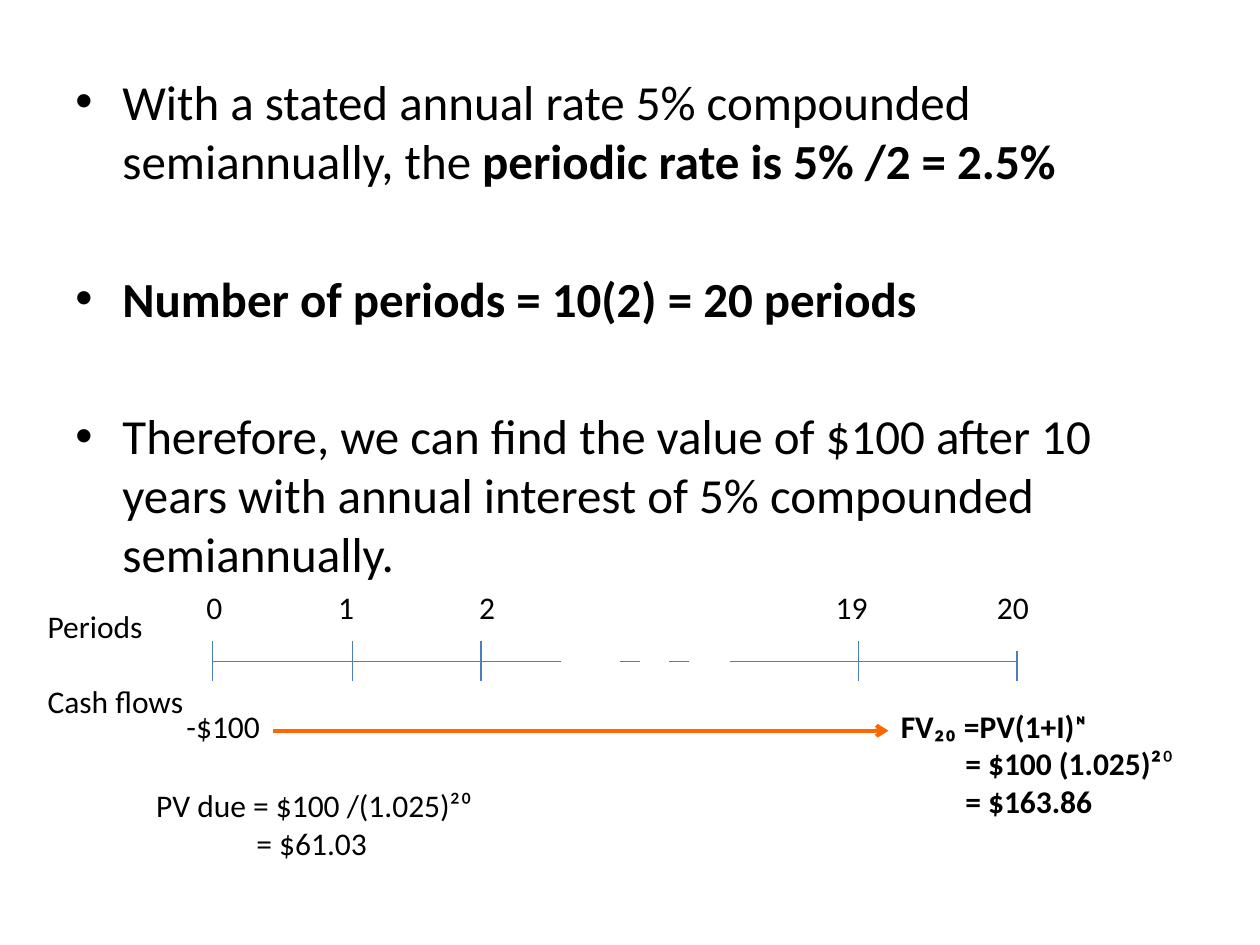
from lxml import etree
from pptx import Presentation
from pptx import util as u
from pptx.dml.color import RGBColor
from pptx.enum import shapes
from pptx.oxml.ns import qn

THEME = {
    "font": "Calibri",
    "text": RGBColor(0x00, 0x00, 0x00),
    "axis": RGBColor(0x4B, 0x7E, 0xBC),
    "arrow": RGBColor(0xFF, 0x66, 0x00),
    "body": u.Pt(28),
    "label": u.Pt(18),
    "axis_line": u.Pt(0.75),
    "arrow_line": u.Pt(2.25),
}

# Content: a paragraph is a list of (wording, bold) runs; lengths in cm
points = [
    [("With a stated annual rate 5% compounded semiannually, the ", False),
     ("periodic rate is 5% /2 = 2.5%", True)],
    [("Number of periods = 10(2) = 20 periods", True)],
    [("Therefore, we can find the value of $100 after 10 years with annual "
      "interest of 5% compounded semiannually.", False)],
]
row_names = [[("Periods", False)], [("Cash flows", False)]]
payment = [[("-$100", False)]]
future_value = [
    [("FV₂₀ =PV(1+I)ᶰ", True)],
    [("= $100 (1.025)²", True), ("⁰", False)],
    [("= $163.86", True)],
]
present_value = [[("PV due = $100 /(1.025)²⁰", False)], [("= $61.03", False)]]

# (period, tick x, label centre x, tick top)
periods = [
    ("0", 4.29, 4.29, 12.93),
    ("1", 7.11, 6.98, 12.93),
    ("2", 9.7, 9.82, 12.93),
    ("19", 17.3, 17.17, 12.93),
    ("20", 20.5, 20.42, 13.13),
]
axis_y, tick_bottom = 13.34, 13.72
axis_parts = [(4.29, 11.3), (12.5, 12.9), (13.49, 13.89), (14.71, 20.5)]
arrow_start, arrow_end, arrow_y = 5.51, 17.91, 14.73
INSET = 0.25

prs = Presentation()
prs.slide_width, prs.slide_height = u.Cm(25.4), u.Cm(19.05)
slide = prs.slides.add_slide(prs.slide_layouts[6])


def add_text(box, paragraphs, size=THEME["label"], gap=0, hang=0, bullet=False, tabs=()):
    """Write paragraphs; hang indents bullets, or every line after the first."""
    frame = slide.shapes.add_textbox(*map(u.Cm, box)).text_frame
    frame.word_wrap = True
    for i, runs in enumerate(paragraphs):
        paragraph = frame.paragraphs[0] if i == 0 else frame.add_paragraph()
        props = paragraph._p.get_or_add_pPr()
        if i:
            paragraph.space_before = u.Pt(gap)
        if hang and (bullet or i):
            props.set("marL", str(u.Cm(hang)))
        if bullet:
            props.set("indent", str(-u.Cm(hang)))
            etree.SubElement(props, qn("a:buFont"), typeface="Arial")
            etree.SubElement(props, qn("a:buChar"), char="•")
        if tabs:
            stops = etree.SubElement(props, qn("a:tabLst"))
            for stop in tabs:
                etree.SubElement(stops, qn("a:tab"), pos=str(u.Cm(stop)), algn="ctr")
        font = paragraph.font
        font.name, font.size = THEME["font"], size
        font.color.rgb = THEME["text"]
        same_weight = len({bold for _, bold in runs}) == 1
        if same_weight:
            font.bold = runs[0][1]
        for wording, bold in runs:
            run = paragraph.add_run()
            run.text = wording
            if not same_weight:
                run.font.bold = bold


def add_line(x1, y1, x2, y2, color=THEME["axis"], width=THEME["axis_line"], head=False):
    connector = slide.shapes.add_connector(
        shapes.MSO_CONNECTOR.STRAIGHT, *map(u.Cm, (x1, y1, x2, y2)))
    connector.line.color.rgb = color
    connector.line.width = width
    if head:
        etree.SubElement(connector.line._get_or_add_ln(), qn("a:tailEnd"), type="arrow")
    etree.SubElement(connector._element.spPr, qn("a:effectLst"))


# Bullet points
add_text((1.27, 1.32, 23.24, 13), points, THEME["body"], gap=45, hang=0.95, bullet=True)

# Time line with its ticks
for start, end in axis_parts:
    add_line(start, axis_y, end, axis_y)
for _, tick_x, _, tick_top in periods:
    add_line(tick_x, tick_top, tick_x, tick_bottom)

# Period numbers, centred on tab stops
numbers_left = 3.91
add_text((numbers_left, 11.73, 18, 1.02),
         [[("\t".join(period[0] for period in periods), False)]],
         tabs=[centre - numbers_left - INSET for _, _, centre, _ in periods[1:]])

# Row names and cash flows
add_text((0.71, 12.12, 3.4, 2.57), row_names, gap=21)
add_text((3.51, 14.12, 2.2, 1.02), payment)
add_line(arrow_start, arrow_y, arrow_end, arrow_y,
         THEME["arrow"], THEME["arrow_line"], head=True)

# Results
add_text((17.91, 14.12, 7.01, 2.57), future_value, hang=1.3)
add_text((2.9, 15.72, 7.01, 1.8), present_value, hang=2.02)

prs.save("out.pptx")
